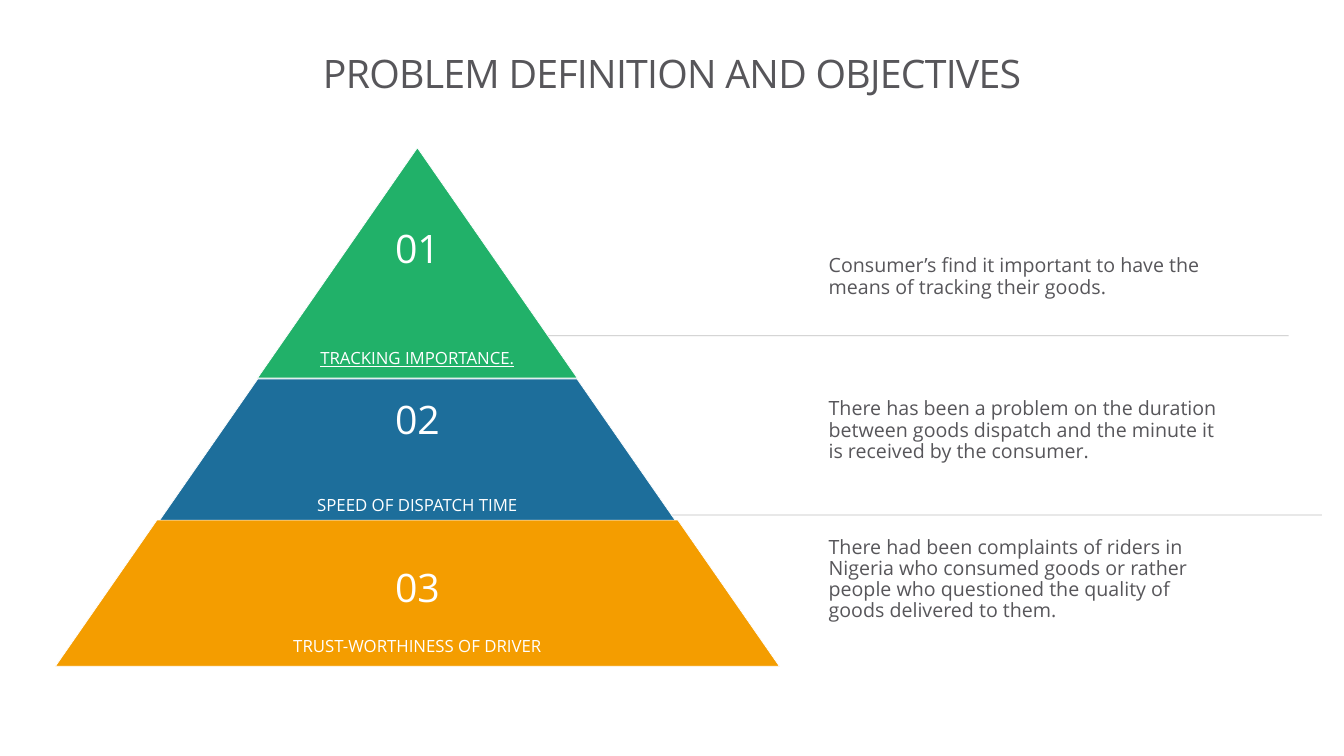
from lxml import etree
from pptx import Presentation
from pptx import util as u
from pptx.dml.color import RGBColor
from pptx.enum import shapes, text
from pptx.oxml.ns import qn

# Content
TITLE = "PROBLEM DEFINITION AND OBJECTIVES"
FONT = "Open Sans"
COLORS = {"ink": "57565A", "white": "FFFFFF", "rule": "808080",
          "green": "21B169", "blue": "1D6E9B", "orange": "F49D00"}
# tier: label, colour, top, width, height, number top, underlined
TIERS = [
    ("TRACKING IMPORTANCE.", "green", 1.47, 3.17, 2.28, 2.18, True),
    ("SPEED OF DISPATCH TIME", "blue", 3.76, 5.18, 1.45, 3.87, False),
    ("TRUST-WORTHINESS OF DRIVER", "orange", 5.16, 7.18, 1.45, 5.54, False),
]
# note: text, top, width, height
NOTES = [
    ("Consumer’s find it important to have the means of tracking their goods.",
     2.49, 3.91, 0.53),
    ("There has been a problem on the duration between goods dispatch and "
     "the minute it is received by the consumer.", 3.91, 4.14, 0.74),
    ("There had been complaints of riders in Nigeria who consumed goods or "
     "rather people who questioned the quality of goods delivered to them.",
     5.28, 4.14, 0.95),
]
RULES = [(5.04, 3.33), (5.37, 5.11)]  # left end, height on the slide

# Layout in inches
SLIDE_W, SLIDE_H = 13.33, 7.5
AXIS = 4.14        # centre line of the pyramid
SLOPE = 0.694      # side slope shared by all tiers
NOTE_LEFT = 8.12
RULE_LENGTH = 7.74
NUMBER_W, NUMBER_H = 0.65, 0.57


def rgb(name):
    return RGBColor.from_string(COLORS[name])


def write(tf, words, size, color, align, spacing=1.0):
    p = tf.paragraphs[0]
    p.text = words
    p.alignment = align
    p.line_spacing = spacing
    p.font.name, p.font.size = FONT, u.Pt(size)
    p.font.color.rgb = rgb(color)
    return p


def add_text(s, box, words, size, color, align, spacing=1.0, wrap=True):
    tf = s.shapes.add_textbox(*map(u.Inches, box)).text_frame
    tf.word_wrap = wrap
    return tf, write(tf, words, size, color, align, spacing)


def add_rule(s, left, y):
    line = s.shapes.add_connector(
        shapes.MSO_CONNECTOR.STRAIGHT,
        *map(u.Inches, (left, y, left + RULE_LENGTH, y)))
    line.line.width = u.Pt(0.5)
    line.line.color.rgb = rgb("rule")
    spPr = line._element.spPr
    shade = spPr.find(".//" + qn("a:srgbClr"))
    etree.SubElement(shade, qn("a:alpha"), val="50000")
    etree.SubElement(spPr, qn("a:effectLst"))


def add_tier(s, number, tier):
    label, color, top, width, height, number_top, underlined = tier
    box = (AXIS - width / 2, top, width, height)
    sp = s.shapes.add_shape(shapes.MSO_SHAPE.TRAPEZOID, *map(u.Inches, box))
    sp.adjustments[0] = SLOPE
    sp.shadow.inherit = False
    sp.fill.solid()
    sp.fill.fore_color.rgb = rgb(color)
    sp.line.color.rgb = rgb("white")
    sp.line.width = u.Pt(0.5)

    # Label along the base of the tier
    tf, p = add_text(s, box, label, 12, "white", text.PP_ALIGN.CENTER, 0.9)
    tf.vertical_anchor = text.MSO_ANCHOR.BOTTOM
    tf.margin_left = tf.margin_right = tf.margin_top = u.Inches(0.02)
    tf.margin_bottom = u.Inches(0.1)
    if underlined:
        p.runs[0].font.underline = True

    # Number
    add_text(s, (AXIS - NUMBER_W / 2, number_top, NUMBER_W, NUMBER_H),
             f"{number:02d}", 28, "white", text.PP_ALIGN.CENTER, wrap=False)


def main():
    prs = Presentation()
    prs.slide_width, prs.slide_height = u.Inches(SLIDE_W), u.Inches(SLIDE_H)
    s = prs.slides.add_slide(prs.slide_layouts[5])

    # Title
    title = s.shapes.title
    title.left, title.top = u.Inches(1), u.Inches(0.31)
    title.width, title.height = u.Inches(SLIDE_W - 2), u.Inches(0.89)
    tf = title.text_frame
    tf.auto_size = text.MSO_AUTO_SIZE.NONE
    tf.vertical_anchor = text.MSO_ANCHOR.MIDDLE
    tf.margin_left = tf.margin_right = tf.margin_top = tf.margin_bottom = 0
    p = write(tf, TITLE, 28, "ink", text.PP_ALIGN.CENTER, 0.86)
    p.runs[0]._r.get_or_add_rPr().set("spc", "-50")

    # Dividing lines, behind the pyramid
    for left, y in RULES:
        add_rule(s, left, y)

    # Notes
    for words, top, width, height in NOTES:
        add_text(s, (NOTE_LEFT, top, width, height), words, 14, "ink",
                 text.PP_ALIGN.LEFT, 0.9)

    # Pyramid
    for number, tier in enumerate(TIERS, 1):
        add_tier(s, number, tier)

    prs.save("out.pptx")


if __name__ == "__main__":
    main()
